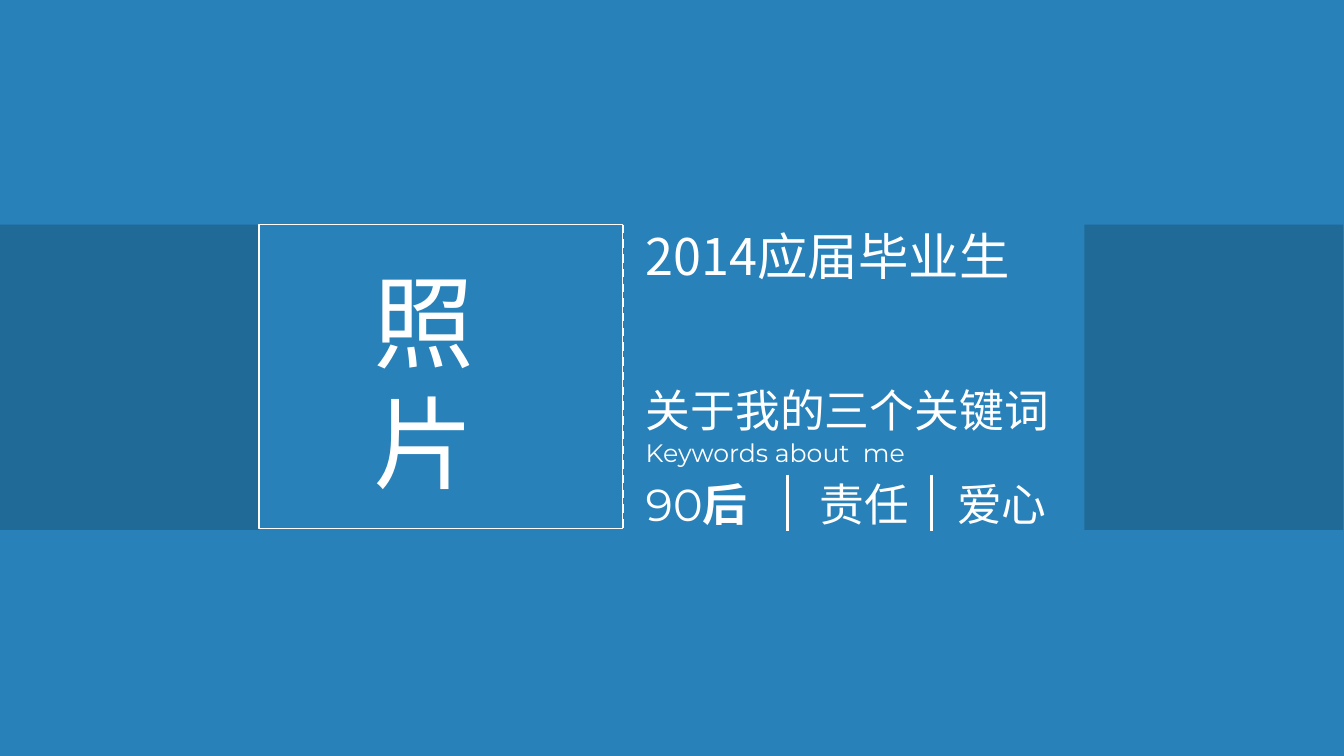
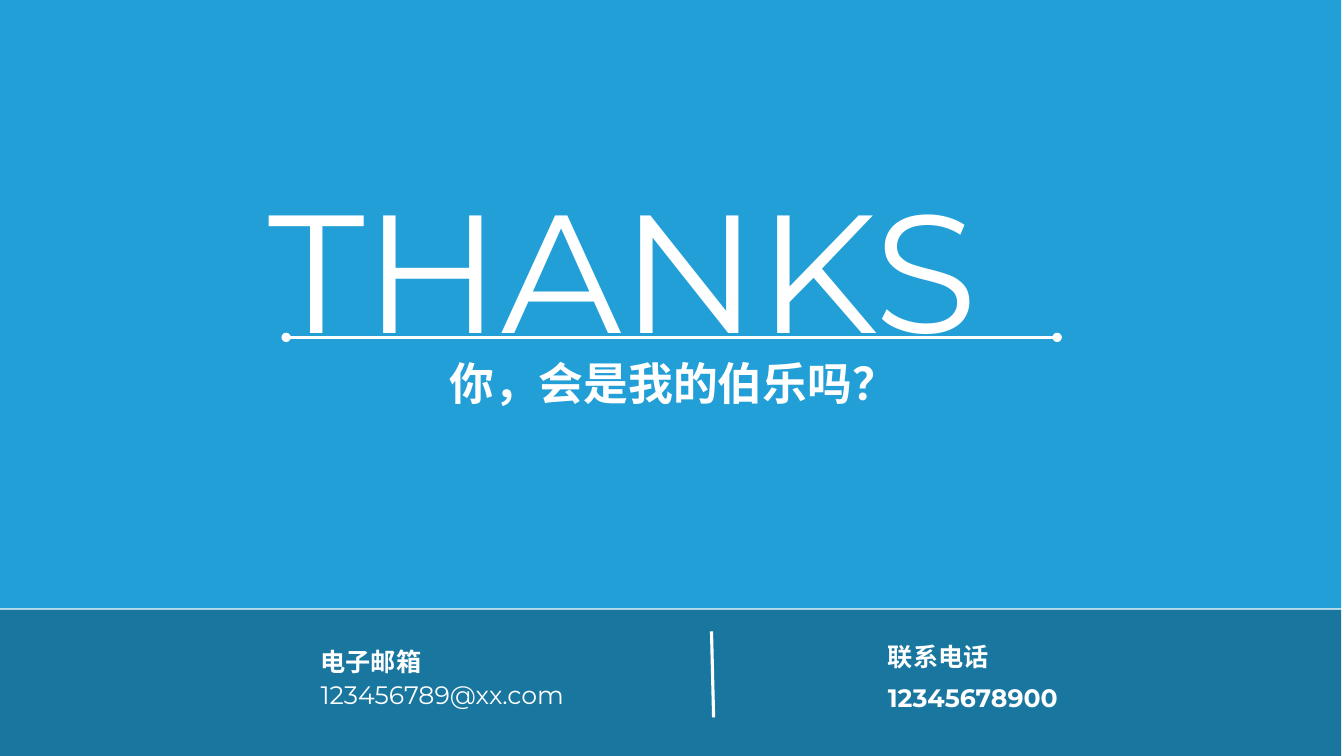
from dataclasses import dataclass
from typing import Optional

import lxml.etree
import pptx
import pptx.dml.color
import pptx.enum.dml
import pptx.enum.shapes
import pptx.enum.text
import pptx.oxml.ns
import pptx.util

Pt = pptx.util.Pt
qn = pptx.oxml.ns.qn

# Shared look
COLORS = {
    "white": "FFFFFF",
    "photo_bg": "2881B9",
    "photo_band": "206A98",
    "thanks_bg": "229FD7",
    "contact_band": "19769F",
}
CJK = "Noto Sans CJK SC"
LATIN = "Montserrat"
FRAME_FORMAT = {
    "word_wrap": True,
    "auto_size": pptx.enum.text.MSO_AUTO_SIZE.NONE,
    "vertical_anchor": pptx.enum.text.MSO_ANCHOR.TOP,
}
FLUSH = (0, 0, 0, 0)
PADDED = (7.2, 3.6, 7.2, 3.6)
LEFT_FLUSH = (0, 3.6, 7.2, 3.6)
TITLE_ONLY = 5


@dataclass
class Run:
    text: str
    size: float
    font: str = CJK
    bold: bool = False


@dataclass
class Label:
    left: float
    top: float
    width: float
    height: float
    runs: list[Run]
    insets: tuple[float, float, float, float] = FLUSH


@dataclass
class Box:
    left: float
    top: float
    width: float
    height: float
    fill: Optional[str] = None
    line: Optional[str] = None


@dataclass
class Rule:
    x1: float
    y1: float
    x2: float
    y2: float
    width: float = 2.25
    dashed: bool = False
    oval_ends: bool = False


def rgb(name: str) -> pptx.dml.color.RGBColor:
    return pptx.dml.color.RGBColor.from_string(COLORS[name])


def set_attrs(obj, values: dict) -> None:
    for name, value in values.items():
        setattr(obj, name, value)


def fill_label(sp, label: Label) -> None:
    """Place a text box or placeholder and write its runs."""
    set_attrs(sp, {side: Pt(getattr(label, side))
                   for side in ("left", "top", "width", "height")})
    tf = sp.text_frame
    sides = ("margin_left", "margin_top", "margin_right", "margin_bottom")
    set_attrs(tf, FRAME_FORMAT | dict(zip(sides, map(Pt, label.insets))))
    p = tf.paragraphs[0]
    p.alignment = pptx.enum.text.PP_ALIGN.LEFT
    for run in label.runs:
        r = p.add_run()
        r.text = run.text
        set_attrs(r.font, {"size": Pt(run.size), "bold": run.bold, "name": run.font})
        r.font.color.rgb = rgb("white")
        lxml.etree.SubElement(r._r.get_or_add_rPr(), qn("a:ea"), typeface=run.font)


def add_label(slide, label: Label) -> None:
    fill_label(slide.shapes.add_textbox(0, 0, 0, 0), label)


def add_title(slide, label: Label) -> None:
    sp = slide.shapes.title
    fill_label(sp, label)
    sp.element.getparent().append(sp.element)  # in front of the bands


def add_box(slide, box: Box) -> None:
    sp = slide.shapes.add_shape(
        pptx.enum.shapes.MSO_SHAPE.RECTANGLE,
        Pt(box.left), Pt(box.top), Pt(box.width), Pt(box.height))
    sp.shadow.inherit = False
    if box.fill:
        sp.fill.solid()
        sp.fill.fore_color.rgb = rgb(box.fill)
    else:
        sp.fill.background()
    if box.line:
        sp.line.color.rgb = rgb(box.line)
        sp.line.width = Pt(1)
    else:
        sp.line.fill.background()


def add_rule(slide, rule: Rule) -> None:
    cxn = slide.shapes.add_connector(
        pptx.enum.shapes.MSO_CONNECTOR.STRAIGHT,
        Pt(rule.x1), Pt(rule.y1), Pt(rule.x2), Pt(rule.y2))
    cxn.line.color.rgb = rgb("white")
    cxn.line.width = Pt(rule.width)
    if rule.dashed:
        cxn.line.dash_style = pptx.enum.dml.MSO_LINE.DASH
    sp_pr = cxn.element.spPr
    if rule.oval_ends:
        for end in ("a:headEnd", "a:tailEnd"):
            lxml.etree.SubElement(sp_pr.find(qn("a:ln")), qn(end), type="oval")
    lxml.etree.SubElement(sp_pr, qn("a:effectLst"))


def new_slide(prs, background: str):
    slide = prs.slides.add_slide(prs.slide_layouts[TITLE_ONLY])
    slide.background.fill.solid()
    slide.background.fill.fore_color.rgb = rgb(background)
    return slide


def build_profile(prs) -> None:
    slide = new_slide(prs, "photo_bg")
    top, band_w, band_h, text_x = 160.5, 185, 218, 461.5

    # Side bands
    for left in (775, 0):
        add_box(slide, Box(left, top, band_w, band_h, fill="photo_band"))

    # Heading and keywords
    add_title(slide, Label(text_x, top, 291, 43, [Run("2014应届毕业生", 36)]))
    add_label(slide, Label(text_x, 270, 312.5, 46,
                           [Run("关于我的三个关键词", 32)], LEFT_FLUSH))
    add_label(slide, Label(text_x, 309, 227.5, 29,
                           [Run("Keywords about  me", 18, LATIN)], LEFT_FLUSH))
    keywords = [
        (text_x, 86, [Run("90", 32, LATIN), Run("后", 32, bold=True)]),
        (585.5, 65.5, [Run("责任", 32)]),
        (684, 65.5, [Run("爱心", 32)]),
    ]
    for left, width, runs in keywords:
        add_label(slide, Label(left, 340.5, width, 38, runs))
    for x in (562.5, 666):
        add_rule(slide, Rule(x, 339, x, 379.5))

    # Photo frame
    add_rule(slide, Rule(445, top, 445, 378, width=1.5, dashed=True))
    add_box(slide, Box(band_w, top, 260, 217, line="white"))
    add_label(slide, Label(260, 182, 142.5, 180, [Run("照片", 72)], PADDED))


def build_thanks(prs) -> None:
    slide = new_slide(prs, "white")

    # Bands
    add_box(slide, Box(-1.5, -1.5, 960, 436, fill="thanks_bg"))
    add_box(slide, Box(-1.5, 435.5, 960, 104.5, fill="contact_band"))

    # Closing words
    add_title(slide, Label(184.5, 114.5, 592, 151, [Run("THANKS", 120, LATIN)], PADDED))
    add_label(slide, Label(314, 250.5, 332.5, 46,
                           [Run("你，会是我的伯乐吗？", 32, bold=True)], PADDED))
    add_rule(slide, Rule(204.5, 241, 755.5, 241, oval_ends=True))

    # Contact details
    contacts = [
        Label(222, 458, 95, 29, [Run("电子邮箱", 18, bold=True)], PADDED),
        Label(222, 481.5, 220.5, 29, [Run("123456789@xx.com", 18, LATIN)], PADDED),
        Label(634.5, 458, 89.5, 21.5, [Run("联系电话", 18, bold=True)]),
        Label(634.5, 487.5, 151, 21.5, [Run("12345678900", 18, LATIN, True)]),
    ]
    for label in contacts:
        add_label(slide, label)
    add_rule(slide, Rule(508.5, 451, 510, 512.5))


def main() -> None:
    prs = pptx.Presentation()
    set_attrs(prs, {"slide_width": Pt(960.5), "slide_height": Pt(540)})
    build_profile(prs)
    build_thanks(prs)
    prs.save("out.pptx")


if __name__ == "__main__":
    main()
